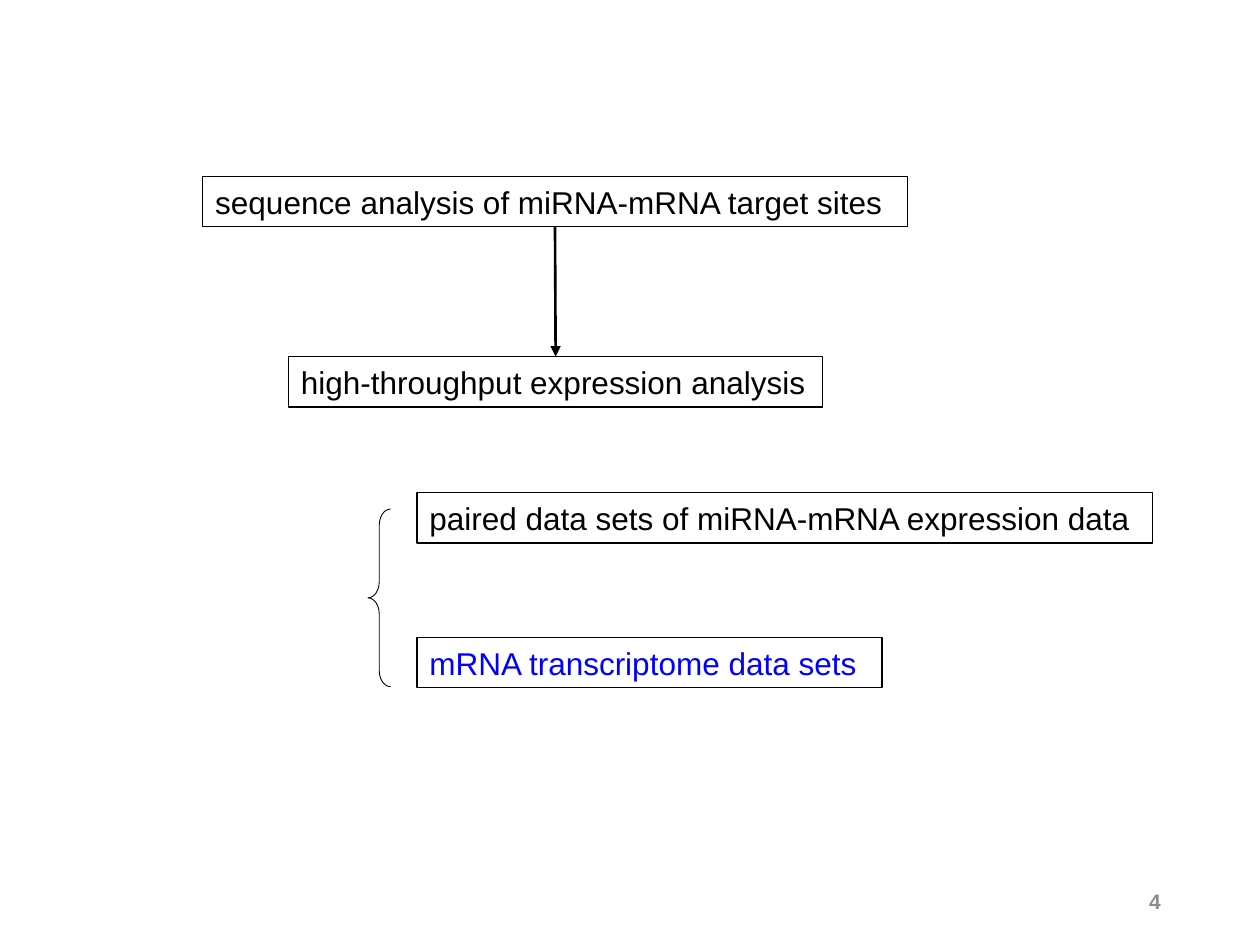
from lxml.etree import SubElement
from pptx import Presentation
from pptx.dml.color import RGBColor
from pptx.enum.shapes import MSO_CONNECTOR, MSO_SHAPE
from pptx.enum.text import MSO_ANCHOR, PP_ALIGN
from pptx.oxml.ns import qn
from pptx.util import Inches, Pt

COLORS = {"black": "000000", "blue": "0000FF", "gray": "8C8C8C"}
FONT = "Arial"
BOX_HEIGHT = 0.4
DATA_LEFT = 3.31


def color(name):
    return RGBColor.from_string(COLORS[name])


def write_text(shape, text, size, color_name, bold=False, align=PP_ALIGN.LEFT):
    frame = shape.text_frame
    frame.word_wrap = True
    frame.vertical_anchor = MSO_ANCHOR.MIDDLE
    frame.text = text
    para = frame.paragraphs[0]
    para.alignment = align
    font = para.runs[0].font
    font.name = FONT
    font.size = Pt(size)
    font.bold = bold
    font.color.rgb = color(color_name)


def add_outline(page, kind, left, top, width, height, line_width):
    """Add an unfilled preset shape with a black outline."""
    shape = page.shapes.add_shape(
        kind, Inches(left), Inches(top), Inches(width), Inches(height))
    shape.shadow.inherit = False
    shape.fill.background()
    shape.line.color.rgb = color("black")
    shape.line.width = Pt(line_width)
    return shape


def add_box(page, text, left, top, width, color_name="black"):
    box = add_outline(page, MSO_SHAPE.RECTANGLE, left, top, width, BOX_HEIGHT, 0.75)
    write_text(box, text, 18, color_name)
    return box


def add_brace(page, left, top, width, height):
    brace = add_outline(page, MSO_SHAPE.LEFT_BRACE, left, top, width, height, 0.5)
    brace.adjustments[0] = 0.7
    brace.adjustments[1] = 0.5


def add_down_arrow(page, upper, lower):
    """Join the bottom of the upper box to the top of the lower one."""
    arrow = page.shapes.add_connector(MSO_CONNECTOR.STRAIGHT, 0, 0, 0, 0)
    arrow.begin_connect(upper, 2)
    arrow.end_connect(lower, 0)
    arrow.line.color.rgb = color("black")
    arrow.line.width = Pt(1.5)
    SubElement(arrow.line._get_or_add_ln(), qn("a:tailEnd"), type="triangle")
    SubElement(arrow._element.spPr, qn("a:effectLst"))


def add_page_number(page, number):
    box = page.shapes.add_textbox(
        Inches(7.06), Inches(6.95), Inches(2.25), Inches(0.4))
    write_text(box, number, 12, "gray", bold=True, align=PP_ALIGN.RIGHT)


def main():
    deck = Presentation()
    deck.slide_width = Inches(10)
    deck.slide_height = Inches(7.5)
    page = deck.slides.add_slide(deck.slide_layouts[6])

    add_page_number(page, "4")
    sequence = add_box(
        page, "sequence analysis of miRNA-mRNA target sites", 1.61, 1.4, 5.59)
    expression = add_box(
        page, "high-throughput expression analysis", 2.29, 2.83, 4.24)
    add_down_arrow(page, sequence, expression)

    add_brace(page, 2.92, 4.04, 0.18, 1.41)
    add_box(page, "paired data sets of miRNA-mRNA expression data",
            DATA_LEFT, 3.91, 5.84)
    add_box(page, "mRNA transcriptome data sets", DATA_LEFT, 5.06, 3.69, "blue")

    deck.save("out.pptx")


if __name__ == "__main__":
    main()
